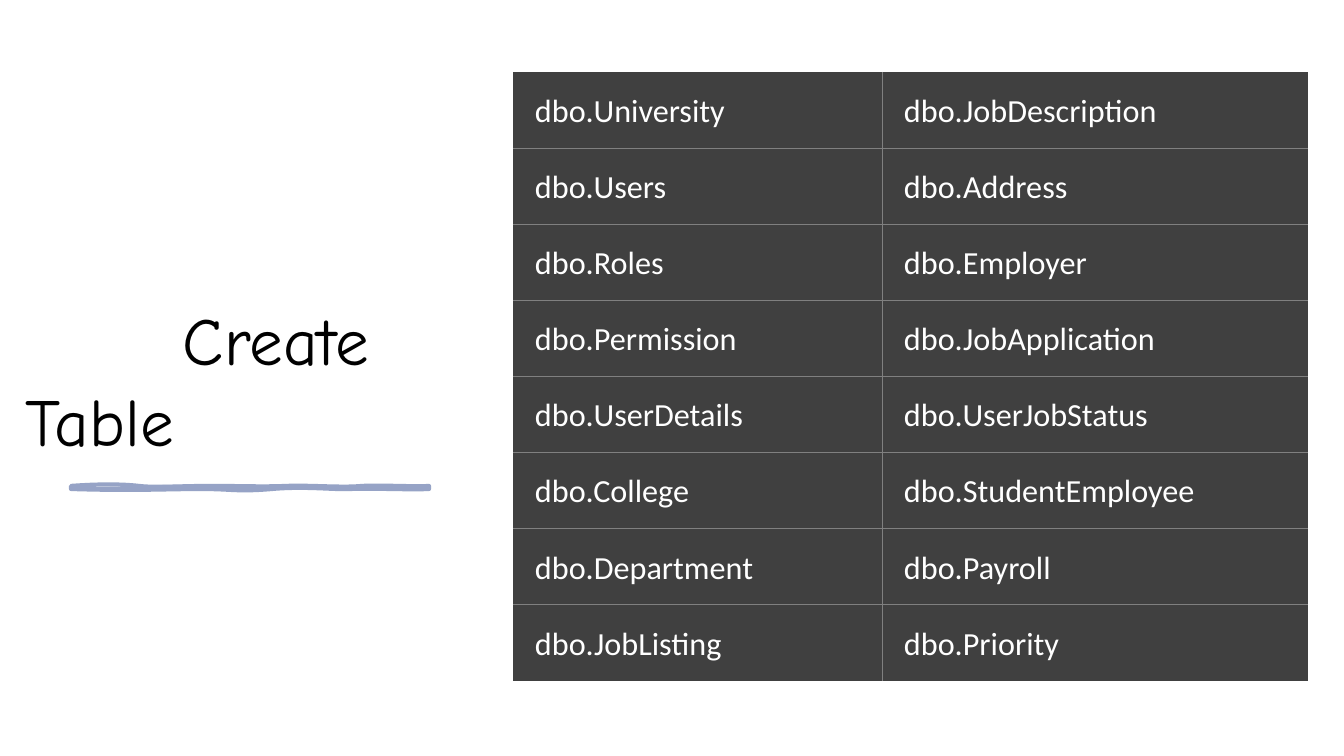
from dataclasses import dataclass
from typing import Any

from lxml import etree
from pptx import Presentation
from pptx.dml.color import RGBColor
from pptx.enum.shapes import MSO_SHAPE
from pptx.enum.text import MSO_ANCHOR, PP_ALIGN
from pptx.oxml.ns import qn
from pptx.util import Pt

EMU_PER_PX = 914400 / 100.8
RECTANGLE = MSO_SHAPE.RECTANGLE
BOTTOM = MSO_ANCHOR.BOTTOM
LEFT = PP_ALIGN.LEFT
BLANK_LAYOUT = 6

WHITE, BLACK = "FFFFFF", "000000"
CELL_FILL, GRID_COLOR, STROKE_COLOR = "404040", "808080", "96A3C6"

PAGE_SIZE = (1344, 756)
BRUSH_BOX = (71, 486, 358, 3)
TABLE_BOX = (513, 72, 795, 609)
COLUMN_WIDTHS = (369, 426)
TABLE_NAMES = [
    ("dbo.University", "dbo.JobDescription"),
    ("dbo.Users", "dbo.Address"),
    ("dbo.Roles", "dbo.Employer"),
    ("dbo.Permission", "dbo.JobApplication"),
    ("dbo.UserDetails", "dbo.UserJobStatus"),
    ("dbo.College", "dbo.StudentEmployee"),
    ("dbo.Department", "dbo.Payroll"),
    ("dbo.JobListing", "dbo.Priority"),
]


@dataclass(frozen=True)
class BrushStroke:
    """A closed outline: a start, then two controls and an end per curve."""
    points: list[tuple[int, int]]
    hidden_part: dict[str, str]


BRUSH_STROKES = [
    BrushStroke([
        (71, 486), (98, 484), (122, 484), (139, 486), (156, 488), (178, 486), (211, 486),
        (243, 486), (262, 487), (286, 486), (310, 485), (342, 488), (362, 486),
        (382, 485), (415, 487), (429, 486), (429, 487), (429, 489), (429, 489),
        (411, 490), (367, 488), (351, 489), (335, 490), (306, 486), (272, 489),
        (237, 492), (233, 489), (201, 489), (167, 489), (133, 491), (71, 489),
        (71, 488), (71, 487), (71, 486),
    ], {"fill": "none"}),
    BrushStroke([
        (71, 486), (103, 488), (111, 487), (139, 486), (167, 485), (170, 484), (201, 486),
        (230, 488), (263, 487), (279, 486), (295, 485), (330, 489), (347, 486),
        (365, 484), (400, 490), (429, 486), (429, 488), (429, 488), (429, 489),
        (415, 489), (375, 492), (358, 489), (341, 487), (311, 489), (279, 489),
        (246, 489), (242, 488), (218, 489), (195, 490), (180, 488), (146, 489),
        (112, 490), (93, 489), (71, 489), (71, 488), (71, 488), (71, 486),
    ], {"stroke": "0"}),
]


def px(length: float) -> int:
    return round(length * EMU_PER_PX)


def color(code: str) -> RGBColor:
    return RGBColor.from_string(code)


def set_values(target: Any, values: dict[str, Any]) -> None:
    for name, value in values.items():
        setattr(target, name, value)


def paint(target: Any, code: str) -> None:
    target.fill.solid()
    target.fill.fore_color.rgb = color(code)


def write_text(para: Any, text: str, font: str, size: int, code: str) -> None:
    span = para.add_run()
    span.text = text
    set_values(span.font, {"name": font, "size": Pt(size), "bold": False})
    span.font.color.rgb = color(code)


def add_backdrop(page: Any) -> None:
    backdrop = page.shapes.add_shape(RECTANGLE, 0, 0, *map(px, PAGE_SIZE))
    backdrop.shadow.inherit = False
    paint(backdrop, WHITE)
    backdrop.line.fill.background()


def add_title(page: Any) -> None:
    box = page.shapes.add_textbox(px(16), px(71), px(449), px(394))
    set_values(box.text_frame, {"word_wrap": True, "vertical_anchor": BOTTOM})
    para = box.text_frame.paragraphs[0]
    para.alignment = LEFT
    for name, length in {"marL": 0, "indent": 157}.items():
        para._p.get_or_add_pPr().set(name, str(px(length)))
    write_text(para, "Create Table", "Comic Neue", 48, BLACK)


def add_curves(outlines: Any, stroke: BrushStroke) -> None:
    left, top, width, height = BRUSH_BOX
    outline = etree.SubElement(outlines, qn("a:path"), w=str(px(width)),
                               h=str(px(height)), **stroke.hidden_part)
    pieces = [("a:moveTo", stroke.points[:1])]
    pieces += [("a:cubicBezTo", stroke.points[first:first + 3])
               for first in range(1, len(stroke.points), 3)]
    for tag, points in pieces:
        piece = etree.SubElement(outline, qn(tag))
        for x, y in points:
            etree.SubElement(piece, qn("a:pt"), x=str(px(x - left)), y=str(px(y - top)))
    etree.SubElement(outline, qn("a:close"))


def add_brush_line(page: Any) -> None:
    """Draw an outlined and a filled stroke as one curved freeform."""
    left, top, width, height = BRUSH_BOX
    right, bottom = left + width, top + height
    builder = page.shapes.build_freeform(left, top, scale=EMU_PER_PX)
    builder.add_line_segments([(right, top), (right, bottom), (left, bottom)])
    shape = builder.convert_to_shape()
    outlines = shape._element.spPr.find(f".//{qn('a:pathLst')}")
    for straight_outline in list(outlines):
        outlines.remove(straight_outline)
    for stroke in BRUSH_STROKES:
        add_curves(outlines, stroke)
    shape.shadow.inherit = False
    paint(shape, STROKE_COLOR)
    shape.line.width = Pt(3)
    shape.line.color.rgb = color(STROKE_COLOR)


def add_border(cell: Any, side: str, visible: bool) -> None:
    line = etree.SubElement(cell._tc.get_or_add_tcPr(), qn(f"a:ln{side}"), w=str(Pt(0.5)))
    if visible:
        fill = etree.SubElement(line, qn("a:solidFill"))
        etree.SubElement(fill, qn("a:srgbClr"), val=GRID_COLOR)
    else:
        etree.SubElement(line, qn("a:noFill"))


def add_name_table(page: Any) -> None:
    row_count, column_count = len(TABLE_NAMES), len(COLUMN_WIDTHS)
    table = page.shapes.add_table(row_count, column_count, *map(px, TABLE_BOX)).table
    set_values(table, {"first_row": False, "horz_banding": False})
    for column, width in zip(table.columns, COLUMN_WIDTHS):
        column.width = px(width)
    for r, names in enumerate(TABLE_NAMES):
        table.rows[r].height = px(TABLE_BOX[3] / row_count)
        for c, name in enumerate(names):
            cell = table.cell(r, c)
            set_values(cell, {
                "margin_left": px(22), "margin_top": px(17),
                "margin_right": px(2), "margin_bottom": px(17),
                "vertical_anchor": BOTTOM,
            })
            inner_sides = {"L": c > 0, "R": c < column_count - 1,
                           "T": r > 0, "B": r < row_count - 1}
            for side, visible in inner_sides.items():
                add_border(cell, side, visible)
            paint(cell, CELL_FILL)
            write_text(cell.text_frame.paragraphs[0], name, "Calibri", 23, WHITE)


def main() -> None:
    deck = Presentation()
    set_values(deck, dict(zip(("slide_width", "slide_height"), map(px, PAGE_SIZE))))
    page = deck.slides.add_slide(deck.slide_layouts[BLANK_LAYOUT])
    add_backdrop(page)
    add_title(page)
    add_brush_line(page)
    add_name_table(page)
    deck.save("out.pptx")


if __name__ == "__main__":
    main()
